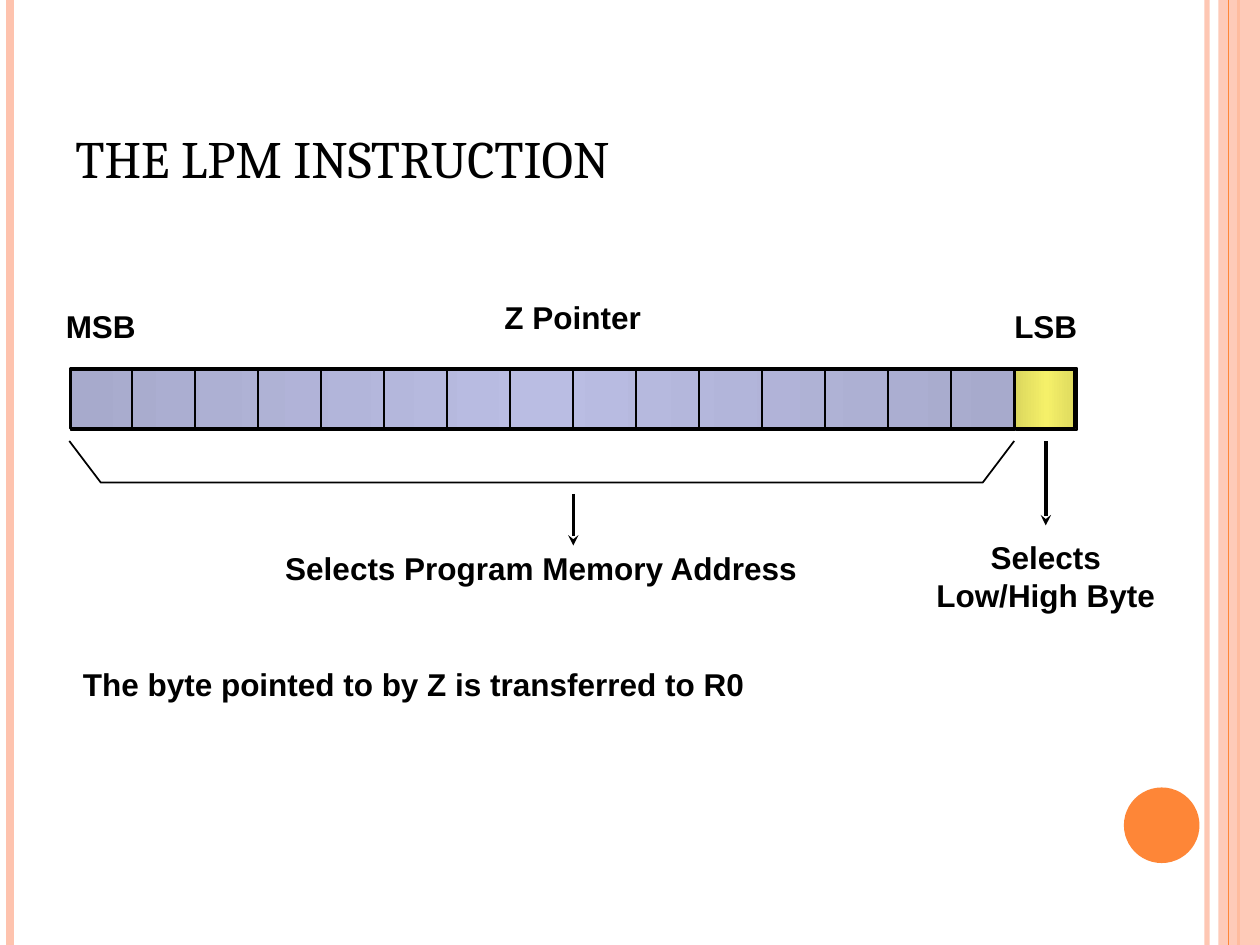
from lxml.etree import SubElement
from pptx import Presentation
from pptx.dml.color import RGBColor
from pptx.enum.shapes import MSO_CONNECTOR, MSO_SHAPE
from pptx.enum.text import MSO_ANCHOR, PP_ALIGN
from pptx.oxml.ns import qn
from pptx.util import Inches, Pt

WIDTH, HEIGHT = 10, 7.5
BLACK = RGBColor(0x00, 0x00, 0x00)
ORANGE = RGBColor(0xFE, 0x86, 0x37)
PEACH = RGBColor(0xFE, 0xC3, 0xAE)
YELLOW_EDGE = RGBColor(0xDC, 0xD8, 0x5E)
YELLOW_MIDDLE = RGBColor(0xF5, 0xF0, 0x69)
BLUE_EDGE = RGBColor(0xA7, 0xAA, 0xCC)
BLUE_MIDDLE = RGBColor(0xBA, 0xBD, 0xE3)

BITS = 16
CELL = 0.5


def set_opacity(properties, percent):
    color = next(properties.iter(qn("a:srgbClr")))
    SubElement(color, qn("a:alpha")).set("val", str(percent * 1000))


def add_line(slide, start, end, color, width, arrow=False):
    line = slide.shapes.add_connector(
        MSO_CONNECTOR.STRAIGHT, *(Inches(value) for value in (*start, *end)))
    line.line.color.rgb = color
    line.line.width = Pt(width)
    properties = line._element.spPr
    if arrow:
        SubElement(properties.find(qn("a:ln")), qn("a:tailEnd")).set("type", "stealth")
    SubElement(properties, qn("a:effectLst"))
    return line


def add_box(slide, kind, box, fill=None, outline=None):
    """Add a preset shape; fill is a colour, outline a width in points."""
    shape = slide.shapes.add_shape(kind, *(Inches(value) for value in box))
    shape.shadow.inherit = False
    if fill is None:
        shape.fill.background()
    else:
        shape.fill.solid()
        shape.fill.fore_color.rgb = fill
    if outline is None:
        shape.line.fill.background()
    else:
        shape.line.color.rgb = BLACK
        shape.line.width = Pt(outline)
    return shape


def fill_edge_to_middle(shape, edge, middle):
    """Shade horizontally from edge to middle and back to edge."""
    shape.fill.gradient()
    shape.fill.gradient_angle = 0
    stops = shape._element.spPr.find(qn("a:gradFill")).find(qn("a:gsLst"))
    for stop in list(stops):
        stops.remove(stop)
    for percent, color in ((0, edge), (50, middle), (100, edge)):
        stop = SubElement(stops, qn("a:gs"))
        stop.set("pos", str(percent * 1000))
        SubElement(stop, qn("a:srgbClr")).set("val", str(color))


def add_text(slide, box, lines, align=PP_ALIGN.CENTER, font="Arial", size=18,
             bold=True, anchor=MSO_ANCHOR.TOP, wrap=False):
    frame = slide.shapes.add_textbox(*(Inches(value) for value in box)).text_frame
    frame.word_wrap = wrap
    frame.vertical_anchor = anchor
    frame.text = "\n".join(lines)
    for paragraph in frame.paragraphs:
        paragraph.alignment = align
        paragraph.font.name = font
        paragraph.font.size = Pt(size)
        paragraph.font.bold = bold
        paragraph.font.color.rgb = BLACK


def add_side_bands(slide):
    def rule(x, color, width):
        return add_line(slide, (x, 0), (x, HEIGHT), color, width)

    set_opacity(rule(9.58, PEACH, 3)._element.spPr, 93)
    rule(0.08, PEACH, 4.5)
    rule(9.83, ORANGE, 1.5)
    band = add_box(slide, MSO_SHAPE.RECTANGLE, (9.67, 0, WIDTH - 9.67, HEIGHT), PEACH)
    set_opacity(band._element.spPr, 87)
    rule(9.75, ORANGE, 0.75)
    add_box(slide, MSO_SHAPE.OVAL, (8.92, 6.25, 0.6, 0.6), ORANGE)


def add_register(slide, left, top):
    """Draw the bit cells: the lowest bit yellow, all others blue."""
    low_bit = left + (BITS - 1) * CELL
    for x, width, edge, middle in (
            (low_bit, CELL, YELLOW_EDGE, YELLOW_MIDDLE),
            (left, low_bit - left, BLUE_EDGE, BLUE_MIDDLE)):
        field = add_box(slide, MSO_SHAPE.RECTANGLE,
                        (x + 0.01, top, width - 0.01, 0.49), edge, outline=1)
        fill_edge_to_middle(field, edge, middle)
    add_box(slide, MSO_SHAPE.RECTANGLE,
            (left + 0.01, top + 0.01, BITS * CELL - 0.03, 0.47), outline=2)
    for bit in range(1, BITS):
        x = left + bit * CELL
        add_line(slide, (x, top), (x, top + CELL), BLACK, 1)
    add_text(slide, (left + 3.35, top - 0.6, 1.29, 0.4), ["Z Pointer"])
    add_text(slide, (left - 0.13, top - 0.53, 0.76, 0.4), ["MSB"])
    add_text(slide, (low_bit - 0.1, top - 0.53, 0.7, 0.4), ["LSB"])


def add_bit_roles(slide, left, top):
    """Bracket the address bits and point from each field to its role."""
    low_bit = left + (BITS - 1) * CELL
    bottom = top + 0.33
    outline = slide.shapes.build_freeform(Inches(left), Inches(top))
    outline.add_line_segments(
        [(Inches(x), Inches(y)) for x, y in (
            (left + CELL / 2, bottom), (low_bit - CELL / 2, bottom), (low_bit, top))],
        close=False)
    bracket = outline.convert_to_shape()
    bracket.shadow.inherit = False
    bracket.fill.background()
    bracket.line.color.rgb = BLACK
    bracket.line.width = Pt(1)

    address_x = left + 8 * CELL
    add_line(slide, (address_x, top + 0.42), (address_x, top + 0.83), BLACK, 2, arrow=True)
    add_text(slide, (left + 1.61, top + 0.81, 4.27, 0.4), ["Selects Program Memory Address"])
    byte_x = low_bit + CELL / 2
    add_line(slide, (byte_x, top), (byte_x, top + 0.67), BLACK, 2, arrow=True)
    add_text(slide, (byte_x - 0.97, top + 0.72, 1.94, 0.7), ["Selects", "Low/High Byte"])


def main():
    presentation = Presentation()
    presentation.slide_width = Inches(WIDTH)
    presentation.slide_height = Inches(HEIGHT)
    slide = presentation.slides.add_slide(presentation.slide_layouts[6])
    add_side_bands(slide)
    add_text(slide, (0.5, 0.3, 8.17, 1.25), ["THE LPM INSTRUCTION"], PP_ALIGN.LEFT,
             font="Cambria", size=30, bold=False, anchor=MSO_ANCHOR.BOTTOM, wrap=True)
    add_register(slide, 0.55, 2.92)
    add_bit_roles(slide, 0.55, 3.5)
    add_text(slide, (0.56, 5.23, 5.45, 0.7),
             ["The byte pointed to by Z is transferred to R0"], PP_ALIGN.LEFT)
    presentation.save("out.pptx")


if __name__ == "__main__":
    main()
